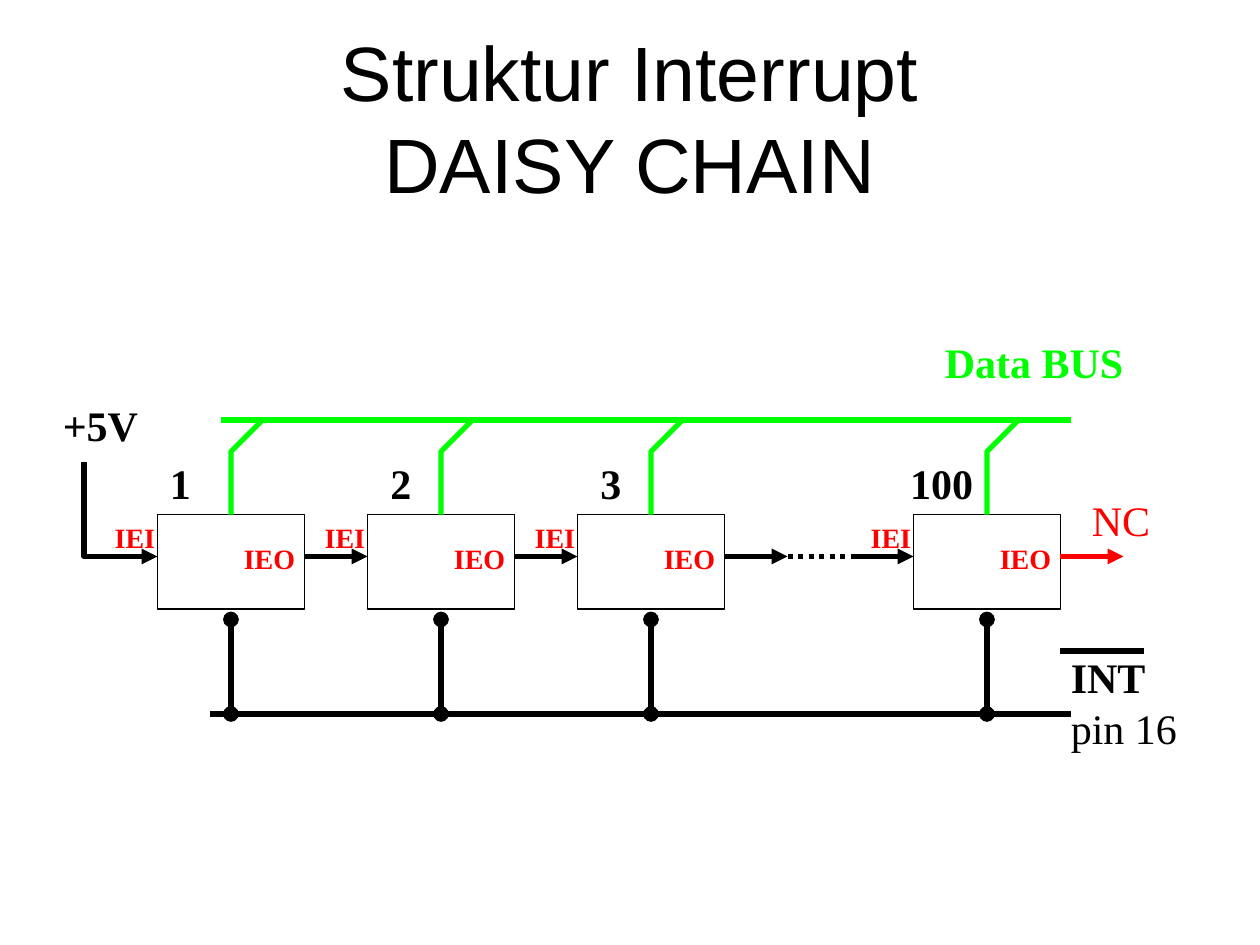
import pptx
import pptx.util
import pptx.dml.color
import pptx.enum.dml
import pptx.enum.shapes
import pptx.enum.text
import pptx.oxml.ns
import lxml.etree

# Grid of 120 columns by 90 rows, twelve cells to the inch
CELL = pptx.util.Inches(1) // 12
COLORS = {"ink": "000000", "bus": "00FF00", "mark": "FF0000"}
SERIF = "Times New Roman"

# Left column of each device, with its number and the number's column
UNITS = [(15, "1", 15), (35, "2", 36), (55, "3", 56), (87, "100", 85.5)]
WIDE, HIGH = 14, 9
TOP, MID = 49, 53
BUS, INT = 40, 68


def grid(*cells):
    return [pptx.util.Emu(round(cell * CELL)) for cell in cells]


def color(name):
    return pptx.dml.color.RGBColor.from_string(COLORS[name])


def tag(parent, name, **attrs):
    node = lxml.etree.SubElement(parent, pptx.oxml.ns.qn(name))
    for key, value in attrs.items():
        node.set(key, value)


def stroke(shape, hue="ink", head=None, tail=None, dash=None, width=3):
    shape.line.color.rgb = color(hue)
    shape.line.width = pptx.util.Pt(width)
    if dash:
        shape.line.dash_style = dash
    line = shape.element.spPr.find(pptx.oxml.ns.qn("a:ln"))
    if width > 1:
        tag(line, "a:round")
    if head:
        tag(line, "a:headEnd", type=head)
    if tail:
        tag(line, "a:tailEnd", type=tail)


def wire(slide, start, end, hue="ink", **ends):
    kind = pptx.enum.shapes.MSO_CONNECTOR.STRAIGHT
    link = slide.shapes.add_connector(kind, *grid(*start, *end))
    stroke(link, hue, **ends)
    tag(link.element.spPr, "a:effectLst")


def bend(slide, points, hue, **ends):
    first, *rest = [grid(*point) for point in points]
    form = slide.shapes.build_freeform(*first)
    form.add_line_segments(rest, close=False)
    shape = form.convert_to_shape()
    shape.shadow.inherit = False
    shape.fill.background()
    stroke(shape, hue, **ends)


def block(slide, left):
    kind = pptx.enum.shapes.MSO_SHAPE.RECTANGLE
    shape = slide.shapes.add_shape(kind, *grid(left, TOP, WIDE, HIGH))
    shape.shadow.inherit = False
    shape.fill.background()
    stroke(shape, width=0.75)


def write(para, text, size, hue="ink", bold=False, face=SERIF):
    run = para.add_run()
    run.text = text
    run.font.size = pptx.util.Pt(size)
    run.font.bold = bold
    run.font.name = face
    run.font.color.rgb = color(hue)


def label(slide, spot, lines, size=24, hue="ink"):
    """Each line is a pair of text and bold."""
    frame = slide.shapes.add_textbox(*grid(*spot)).text_frame
    frame.word_wrap = False
    frame.auto_size = pptx.enum.text.MSO_AUTO_SIZE.SHAPE_TO_FIT_TEXT
    for i, (text, bold) in enumerate(lines):
        para = frame.add_paragraph() if i else frame.paragraphs[0]
        write(para, text, size, hue, bold)


def title(slide, first, second):
    frame = slide.shapes.add_textbox(*grid(6, 3.6, 108, 15)).text_frame
    frame.word_wrap = True
    frame.vertical_anchor = pptx.enum.text.MSO_ANCHOR.MIDDLE
    para = frame.paragraphs[0]
    para.alignment = pptx.enum.text.PP_ALIGN.CENTER
    write(para, first, 44, face="Arial")
    para.add_line_break()
    write(para, second, 44, face="Arial")


def unit(slide, left, num, col):
    """One device with its bus tap, interrupt stem and labels."""
    block(slide, left)
    mid = left + WIDE / 2
    wire(slide, (mid, TOP + HIGH + 1), (mid, INT), head="oval", tail="oval")
    bend(slide, [(mid, TOP), (mid, BUS + 3), (mid + 3, BUS)], "bus")
    label(slide, (col, 43, 4.5 if len(num) == 1 else 8.7, 6), [(num, True)])
    label(slide, (left - 5.25, TOP, 6.5, 4.4), [("IEI", True)], 16, "mark")
    label(slide, (left + 7.05, 51, 7.5, 4.4), [("IEO", True)], 16, "mark")


def chain(slide):
    """Enable line that runs through the devices."""
    arrow = "triangle"
    bend(slide, [(8, 44), (8, MID), (15, MID)], "ink", tail=arrow)
    # Arrows between devices, with a dotted gap before the last
    for start in (29, 49, 69, 81):
        wire(slide, (start, MID), (start + 6, MID), tail=arrow)
    wire(slide, (75, MID), (81, MID),
         dash=pptx.enum.dml.MSO_LINE.ROUND_DOT)
    wire(slide, (101, MID), (107, MID), "mark", tail=arrow)


def main():
    deck = pptx.Presentation()
    deck.slide_width, deck.slide_height = grid(120, 90)
    slide = deck.slides.add_slide(deck.slide_layouts[6])
    title(slide, "Struktur Interrupt", "DAISY CHAIN")

    # Devices and the lines that join them
    for item in UNITS:
        unit(slide, *item)
    chain(slide)
    wire(slide, (20, INT), (102, INT))
    wire(slide, (21, BUS), (102, BUS), "bus")

    # Signal names
    label(slide, (102.8, 46.5, 8.3, 6), [("NC", False)], hue="mark")
    label(slide, (4.8, 37.5, 9.8, 6), [("+5V", True)])
    label(slide, (88.8, 31.5, 19.6, 6), [("Data BUS", True)], hue="bus")
    label(slide, (100.8, 61.5, 12.8, 10.8),
          [("INT", True), ("pin 16", False)])
    wire(slide, (101, 62), (109, 62))
    deck.save("out.pptx")


if __name__ == "__main__":
    main()
